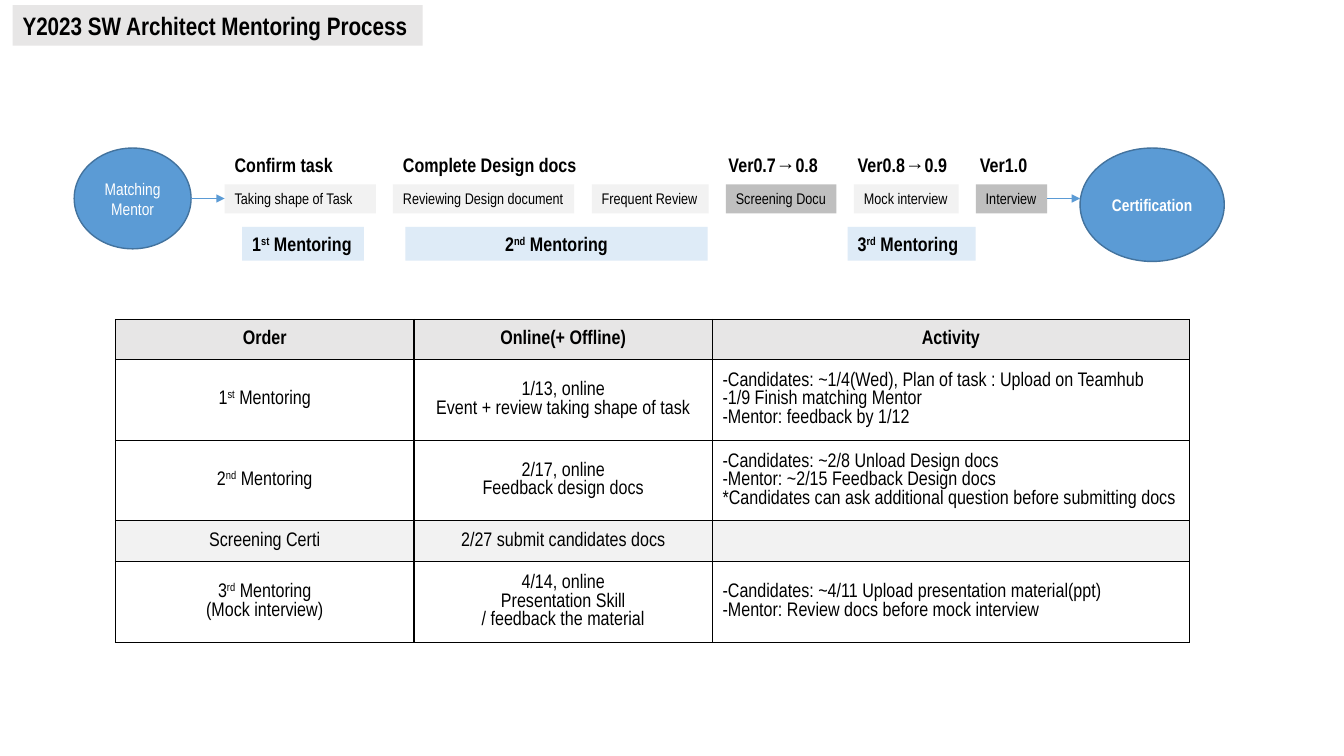
"""Build the Y2023 SW Architect mentoring process slide."""
from dataclasses import dataclass
from typing import Any

from lxml.etree import SubElement
from pptx import Presentation
from pptx.dml.color import RGBColor
from pptx.enum.shapes import MSO_CONNECTOR as Connector, MSO_SHAPE as Preset
from pptx.enum.text import MSO_ANCHOR as Anchor, MSO_AUTO_SIZE as AutoSize, PP_ALIGN as Align
from pptx.oxml.ns import qn
from pptx.util import Pt

COLORS = {
    "black": "000000", "white": "FFFFFF", "heading": "E7E6E6", "step": "F2F2F2",
    "gate": "BFBFBF", "session": "DEEBF7", "blue": "5B9BD5", "outline": "43739E",
}
FONT = "Arial Narrow"


@dataclass
class Label:
    """A text box or filled shape; ^ marks toggle superscript."""
    text: str
    left: float
    top: float
    width: float
    height: float
    size: float
    fill: str | None = None
    bold: bool = True
    wrap: bool = False
    preset: Preset = Preset.RECTANGLE


@dataclass
class Row:
    """One row of the schedule table."""
    height: float
    texts: tuple[str, str, str]
    fill: str = "white"
    bold: bool = False


def color(name: str) -> RGBColor:
    """Look up a palette colour."""
    return RGBColor.from_string(COLORS[name])


def apply(target: Any, values: dict[str, Any]) -> None:
    """Set each named attribute on the target."""
    for name, value in values.items():
        setattr(target, name, value)


def write(frame: Any, text: str, size: float, bold: bool, ink: str = "black",
          align: Align = Align.LEFT) -> None:
    """Fill a text frame, one paragraph a line."""
    for index, line in enumerate(text.split("\n")):
        para = frame.add_paragraph() if index else frame.paragraphs[0]
        para.alignment = align
        for part, words in enumerate(line.split("^")):
            span = para.add_run()
            span.text = words
            apply(span.font, {"name": FONT, "size": Pt(size), "bold": bold})
            span.font.color.rgb = color(ink)
            if part % 2:
                span.font._element.set("baseline", "30000")


def draw_label(page: Any, label: Label) -> None:
    """Draw a label, or a circle for an end point of the process."""
    area = [Pt(value) for value in (label.left, label.top, label.width, label.height)]
    oval = label.preset == Preset.OVAL
    if label.fill:
        box = page.shapes.add_shape(label.preset, *area)
        box.shadow.inherit = False
        box.fill.solid()
        box.fill.fore_color.rgb = color(label.fill)
        if oval:
            box.line.color.rgb = color("outline")
            box.line.width = Pt(1)
        else:
            box.line.fill.background()
    else:
        box = page.shapes.add_textbox(*area)
    apply(box.text_frame, {
        "word_wrap": label.wrap,
        "auto_size": AutoSize.NONE if oval else AutoSize.SHAPE_TO_FIT_TEXT,
        "vertical_anchor": Anchor.MIDDLE if oval else Anchor.TOP,
    })
    write(box.text_frame, label.text, label.size, label.bold,
          "white" if oval else "black", Align.CENTER if label.wrap else Align.LEFT)


def draw_arrow(page: Any, start: float, end: float, level: float) -> None:
    """Draw a thin horizontal arrow."""
    arrow = page.shapes.add_connector(
        Connector.STRAIGHT, Pt(start), Pt(level), Pt(end), Pt(level))
    arrow.line.color.rgb = color("blue")
    arrow.line.width = Pt(0.5)
    SubElement(arrow.line._get_or_add_ln(), qn("a:tailEnd"), type="triangle")
    SubElement(arrow._element.spPr, qn("a:effectLst"))


def add_borders(cell: Any) -> None:
    """Put a black border on every side of a cell."""
    props = cell._tc.get_or_add_tcPr()
    for index, side in enumerate(("lnL", "lnR", "lnT", "lnB")):
        line = props.makeelement(qn(f"a:{side}"), {"w": str(Pt(1))})
        paint = SubElement(line, qn("a:solidFill"))
        SubElement(paint, qn("a:srgbClr"), val=COLORS["black"])
        props.insert(index, line)


def draw_schedule(page: Any, rows: list[Row], widths: tuple[float, ...],
                  left: float, top: float) -> None:
    """Draw the mentoring schedule table."""
    height = sum(row.height for row in rows)
    table = page.shapes.add_table(len(rows), len(widths), Pt(left), Pt(top),
                                  Pt(sum(widths)), Pt(height)).table
    for column, width in zip(table.columns, widths):
        column.width = Pt(width)
    for number, row in enumerate(rows):
        table.rows[number].height = Pt(row.height)
        for index, text in enumerate(row.texts):
            cell = table.cell(number, index)
            cell.vertical_anchor = Anchor.MIDDLE
            cell.fill.solid()
            cell.fill.fore_color.rgb = color(row.fill)
            add_borders(cell)
            centred = row.bold or index < 2
            write(cell.text_frame, text, 14, row.bold,
                  align=Align.CENTER if centred else Align.LEFT)


STEP_TOP, STEP_HEIGHT = 131.75, 20.6
HEAD_TOP, SESSION_TOP, BAND_HEIGHT = 105.5, 162, 24.25
ARROW_LEVEL = 141.8

TITLE = Label("Y2023 SW Architect Mentoring Process", 9, 3.6, 293, 29, 18, "heading")
ENDS = [
    Label("Matching\nMentor", 53, 105.75, 83.5, 72, 12, "blue", False, True, Preset.OVAL),
    Label("Certification", 771.5, 105.75, 103, 81, 12, "blue", True, True, Preset.OVAL),
]
STEPS = [
    Label(text, left, STEP_TOP, width, STEP_HEIGHT, 11, fill, False)
    for text, left, width, fill in (
        ("Taking shape of Task ", 160.5, 108, "step"),
        ("Reviewing Design document", 280.75, 129.5, "step"),
        ("Frequent Review", 422.75, 83.5, "step"),
        ("Screening Docu", 518.5, 79, "gate"),
        ("Mock interview", 610, 74.75, "step"),
        ("Interview", 697, 51, "gate"))
]
HEADS = [
    Label(text, left, HEAD_TOP, width, BAND_HEIGHT, 14)
    for text, left, width in (
        ("Confirm task", 160.5, 85.5), ("Complete Design docs", 280.75, 139.5),
        ("Ver0.7→0.8", 513.25, 79), ("Ver0.8→0.9", 605.5, 79), ("Ver1.0", 692.75, 49))
]
SESSIONS = [
    Label(text, left, SESSION_TOP, width, BAND_HEIGHT, 14, "session", wrap=wrap)
    for text, left, width, wrap in (
        ("1^st^ Mentoring", 173, 87, False), ("2^nd^ Mentoring", 289.5, 216, True),
        ("3^rd^ Mentoring", 605.5, 91.5, False))
]
SCHEDULE = [
    Row(28.5, ("Order", "Online(+ Offline)", "Activity"), "heading", True),
    Row(57.5, ("1^st^ Mentoring", "1/13, online\nEvent + review taking shape of task",
               "-Candidates: ~1/4(Wed), Plan of task : Upload on Teamhub\n"
               "-1/9 Finish matching Mentor\n-Mentor: feedback by 1/12")),
    Row(57.5, ("2^nd^ Mentoring", "2/17, online\nFeedback design docs",
               "-Candidates: ~2/8 Unload Design docs\n-Mentor: ~2/15 Feedback Design docs\n"
               "*Candidates can ask additional question before submitting docs")),
    Row(29, ("Screening Certi", "2/27 submit candidates docs", ""), "step"),
    Row(58, ("3^rd^ Mentoring\n(Mock interview)",
             "4/14, online\nPresentation Skill\n/ feedback the material",
             "-Candidates: ~4/11 Upload presentation material(ppt)\n"
             "-Mentor: Review docs before mock interview")),
]

deck = Presentation()
apply(deck, {"slide_width": Pt(960), "slide_height": Pt(540)})
page = deck.slides.add_slide(deck.slide_layouts[6])
for label in [TITLE, *ENDS, *STEPS, *HEADS, *SESSIONS]:
    draw_label(page, label)
draw_schedule(page, SCHEDULE, (213.25, 213.25, 340.5), 82.5, 228.25)
for start, end in ((136.5, 160.5), (748, 771.5)):
    draw_arrow(page, start, end, ARROW_LEVEL)
deck.save("out.pptx")
